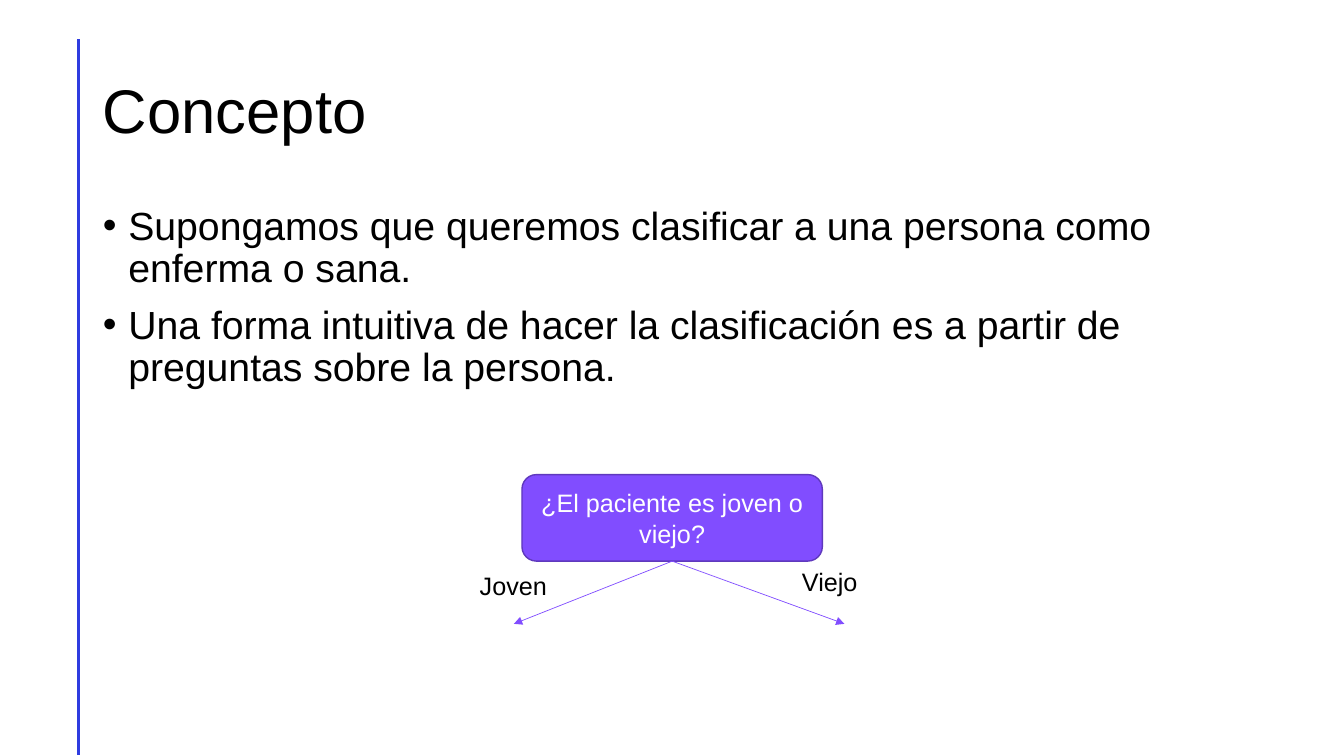
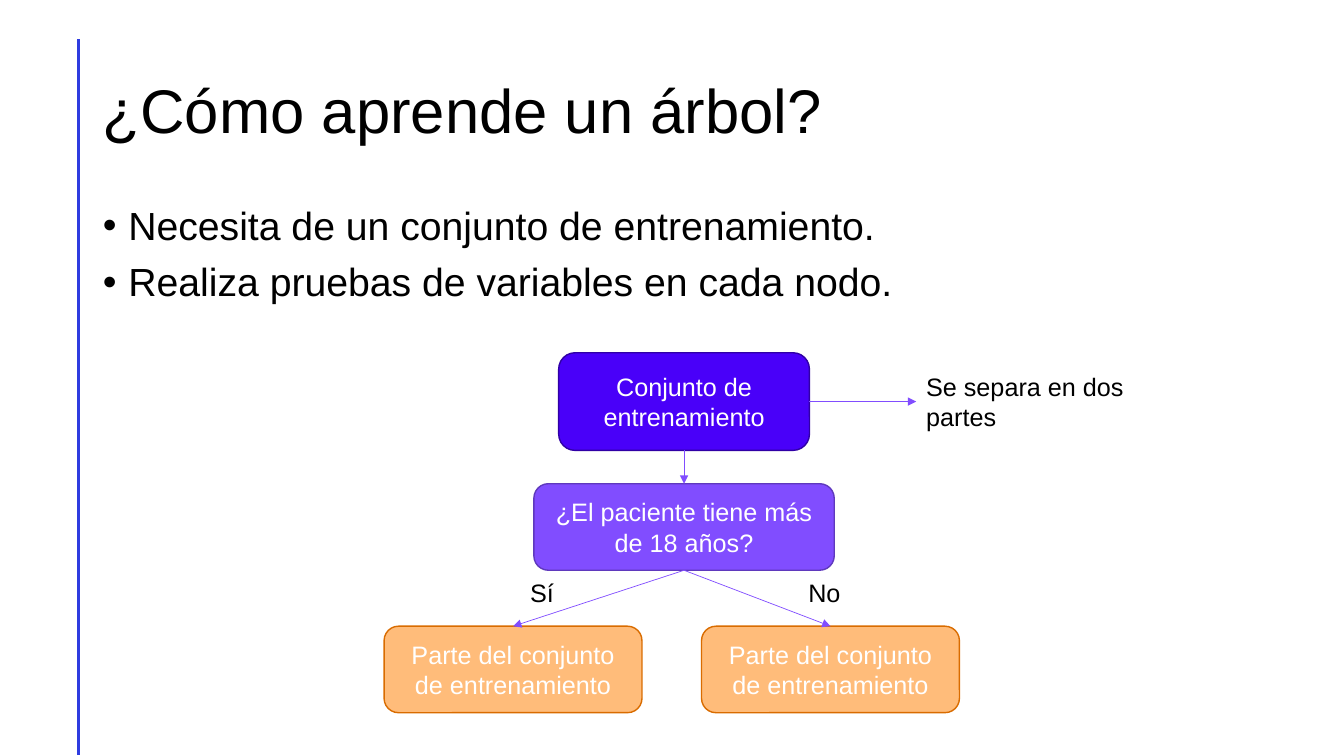
from dataclasses import dataclass
from typing import Any

from pptx import Presentation
from pptx.dml.color import RGBColor
from pptx.enum.shapes import MSO_CONNECTOR, MSO_SHAPE
from pptx.enum.text import MSO_ANCHOR, MSO_AUTO_SIZE, PP_ALIGN
from pptx.oxml.ns import qn
from pptx.util import Cm, Pt
from lxml import etree

STRAIGHT = MSO_CONNECTOR.STRAIGHT
ROUNDED = MSO_SHAPE.ROUNDED_RECTANGLE
TOP, LEFT, BOTTOM, RIGHT = range(4)

BLACK = RGBColor(0x00, 0x00, 0x00)
WHITE = RGBColor(0xFF, 0xFF, 0xFF)
MARGIN_BLUE = RGBColor(0x2F, 0x3C, 0xE0)
INDIGO = RGBColor(0x49, 0x00, 0xF9)
INDIGO_EDGE = RGBColor(0x30, 0x00, 0xA6)
VIOLET = RGBColor(0x81, 0x4D, 0xFF)
VIOLET_EDGE = RGBColor(0x5F, 0x39, 0xBD)
ORANGE = RGBColor(0xFF, 0xBC, 0x7A)
ORANGE_EDGE = RGBColor(0xD9, 0x6C, 0x00)

FONT = "Arial"
TITLE_FORMAT = {"alignment": PP_ALIGN.LEFT, "line_spacing": 0.9}
BULLET_FORMAT = {"line_spacing": 0.9, "space_before": Pt(10)}
NODE_FORMAT = {"alignment": PP_ALIGN.CENTER}
NODE_FRAME = {"word_wrap": True, "vertical_anchor": MSO_ANCHOR.MIDDLE}
LABEL_FRAME = {"word_wrap": True, "auto_size": MSO_AUTO_SIZE.SHAPE_TO_FIT_TEXT}
FIXED_FRAME = {"auto_size": MSO_AUTO_SIZE.NONE}
BULLET_INDENT = Cm(0.64)


@dataclass(frozen=True)
class NodeStyle:
    width: float
    height: float
    fill: RGBColor
    edge: RGBColor


@dataclass(frozen=True)
class Node:
    text: str
    center: float
    top: float
    style: NodeStyle


@dataclass(frozen=True)
class Label:
    text: str
    left: float
    top: float
    width: float
    height: float = 1.02


TRAINING = NodeStyle(6.32, 2.46, INDIGO, INDIGO_EDGE)
QUESTION = NodeStyle(7.57, 2.18, VIOLET, VIOLET_EDGE)
PART = NodeStyle(6.5, 2.18, ORANGE, ORANGE_EDGE)


def apply(target: Any, settings: dict[str, Any]) -> None:
    for attribute, value in settings.items():
        setattr(target, attribute, value)


def format_text(frame: Any, size: float, color: RGBColor,
                frame_format: dict[str, Any], paragraph_format: dict[str, Any]) -> None:
    apply(frame, frame_format)
    for paragraph in frame.paragraphs:
        apply(paragraph, paragraph_format)
        apply(paragraph.font, {"name": FONT, "size": Pt(size)})
        paragraph.font.color.rgb = color
        for run in paragraph.runs:
            apply(run.font, {"name": FONT, "size": Pt(size)})
            run.font.color.rgb = color


def add_line(slide: Any, start: tuple[float, float], end: tuple[float, float],
             color: RGBColor, width: float) -> Any:
    line = slide.shapes.add_connector(STRAIGHT, *map(Cm, start + end))
    line.line.color.rgb = color
    line.line.width = Pt(width)
    etree.SubElement(line.element.spPr, qn("a:effectLst"))
    return line


def add_arrow(slide: Any, source: Any, side: int, target: Any = None,
              target_side: int = TOP, end: tuple[float, float] = (0, 0)) -> None:
    """Join a shape to another shape, or to a free end point."""
    arrow = add_line(slide, (0, 0), end, VIOLET, 0.5)
    arrow.begin_connect(source, side)
    if target is not None:
        arrow.end_connect(target, target_side)
    etree.SubElement(arrow.line._get_or_add_ln(), qn("a:tailEnd"), type="triangle")


def add_node(slide: Any, node: Node) -> Any:
    style = node.style
    box = slide.shapes.add_shape(ROUNDED, Cm(node.center - style.width / 2),
                                 Cm(node.top), Cm(style.width), Cm(style.height))
    box.shadow.inherit = False
    box.fill.solid()
    box.fill.fore_color.rgb = style.fill
    box.line.color.rgb = style.edge
    box.line.width = Pt(1)
    box.text_frame.text = node.text
    format_text(box.text_frame, 18, WHITE, NODE_FRAME, NODE_FORMAT)
    return box


def add_label(slide: Any, label: Label) -> Any:
    box = slide.shapes.add_textbox(Cm(label.left), Cm(label.top),
                                   Cm(label.width), Cm(label.height))
    box.text_frame.text = label.text
    format_text(box.text_frame, 18, BLACK, LABEL_FRAME, {})
    return box


def add_content_slide(prs: Any, title: str, bullets: list[str], body_height: float) -> Any:
    slide = prs.slides.add_slide(prs.slide_layouts[1])
    heading, body = slide.shapes.title, slide.placeholders[1]
    for holder, top, height in ((heading, 1.02, 3.68), (body, 5.08, body_height)):
        apply(holder, {"left": Cm(2.34), "top": Cm(top),
                       "width": Cm(29.21), "height": Cm(height)})
    heading.text_frame.text = title
    format_text(heading.text_frame, 44, BLACK,
                FIXED_FRAME | {"vertical_anchor": MSO_ANCHOR.MIDDLE}, TITLE_FORMAT)
    body.text_frame.text = "\n".join(bullets)
    format_text(body.text_frame, 28, BLACK, FIXED_FRAME, BULLET_FORMAT)
    for paragraph in body.text_frame.paragraphs:
        properties = paragraph._p.get_or_add_pPr()
        properties.set("marL", str(BULLET_INDENT))
        properties.set("indent", str(-BULLET_INDENT))
        etree.SubElement(properties, qn("a:buChar"), char="•")
    return slide


def add_margin_line(slide: Any) -> None:
    """Place the vertical margin line on the layout that the slides share."""
    line = add_line(slide, (1.98, 0.99), (1.98, 19.03), MARGIN_BLUE, 2)
    slide.slide_layout.shapes.element.append(line.element)


def build_concept(prs: Any) -> None:
    slide = add_content_slide(prs, "Concepto", [
        "Supongamos que queremos clasificar a una persona como enferma o sana.",
        "Una forma intuitiva de hacer la clasificación es a partir de preguntas "
        "sobre la persona.",
    ], 4.9)
    add_margin_line(slide)

    # Question with two open branches
    question = add_node(slide, Node("¿El paciente es joven o viejo?", 16.94, 11.96, QUESTION))
    for end_x in (21.28, 12.95):
        add_arrow(slide, question, BOTTOM, end=(end_x, 15.72))
    for label in (Label("Joven", 11.84, 14.25, 2.62), Label("Viejo", 19.96, 14.15, 2.62)):
        add_label(slide, label)


def build_learning(prs: Any) -> None:
    slide = add_content_slide(prs, "¿Cómo aprende un árbol?", [
        "Necesita de un conjunto de entrenamiento.",
        "Realiza pruebas de variables en cada nodo.",
    ], 2.97)

    # Training set, its note and the question
    tree_center = 17.24
    training = add_node(slide, Node("Conjunto de entrenamiento", tree_center, 8.89, TRAINING))
    question = add_node(slide, Node("¿El paciente tiene más de 18 años?",
                                    tree_center, 12.19, QUESTION))
    note = add_label(slide, Label("Se separa en dos partes", 23.09, 9.22, 5.49, 1.8))
    add_arrow(slide, training, BOTTOM, question)
    add_arrow(slide, training, RIGHT, note, LEFT)

    # Resulting parts
    for center in (12.93, 20.93):
        part = add_node(slide, Node("Parte del conjunto de entrenamiento",
                                    center, 15.78, PART))
        add_arrow(slide, question, BOTTOM, part)
    for label in (Label("Sí", 13.11, 14.43, 1.35), Label("No", 20.12, 14.43, 1.85)):
        add_label(slide, label)


def main() -> None:
    prs = Presentation()
    prs.slide_width, prs.slide_height = Cm(33.87), Cm(19.05)
    build_concept(prs)
    build_learning(prs)
    prs.save("out.pptx")


if __name__ == "__main__":
    main()
